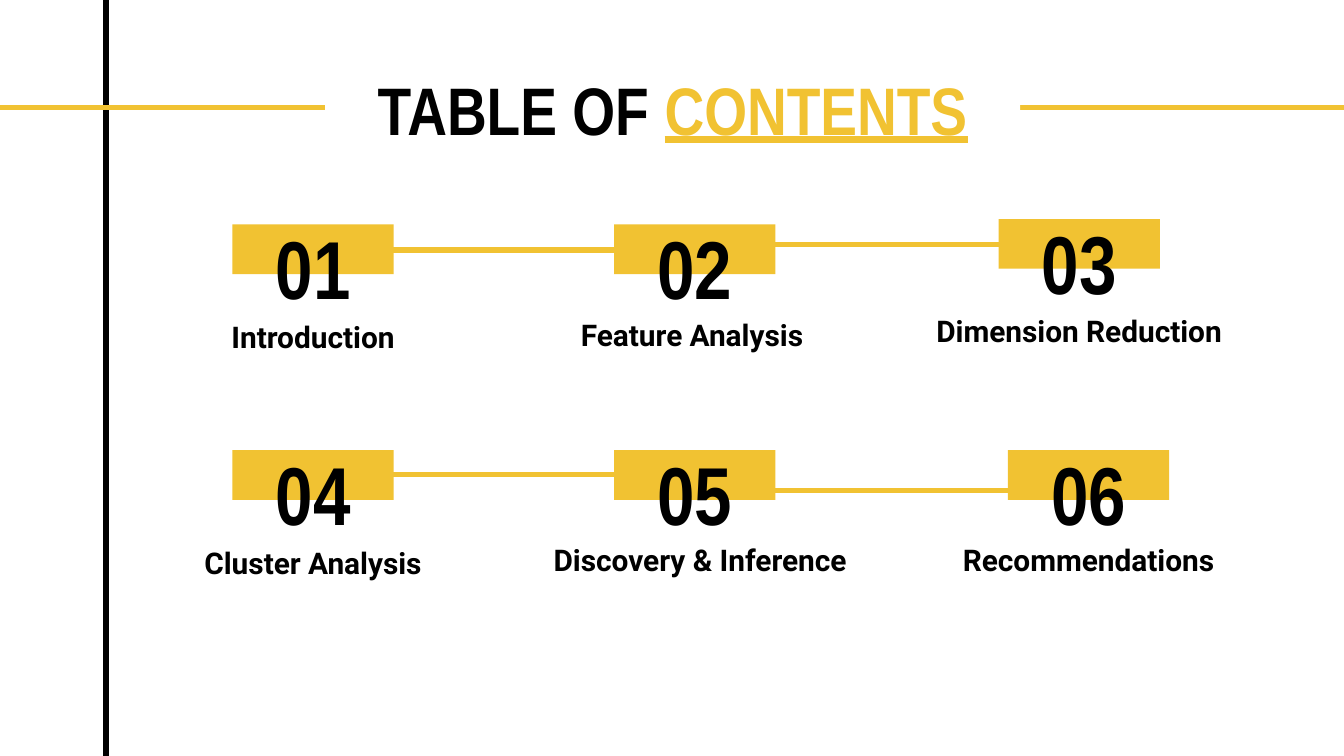
from pptx import Presentation
from pptx.dml.color import RGBColor
from pptx.enum.shapes import MSO_CONNECTOR, MSO_SHAPE
from pptx.enum.text import MSO_ANCHOR, PP_ALIGN
from pptx.oxml.ns import qn
from pptx.util import Inches, Pt

RECTANGLE = MSO_SHAPE.RECTANGLE
STRAIGHT = MSO_CONNECTOR.STRAIGHT
CENTER = PP_ALIGN.CENTER
TOP, BOTTOM = MSO_ANCHOR.TOP, MSO_ANCHOR.BOTTOM

WIDTH = 10
HEIGHT = WIDTH * 9 / 16
BLACK, WHITE, YELLOW = "000000", "FFFFFF", "F1C232"
HEADING_FONT, LABEL_FONT = "Arial Narrow", "Roboto"
TITLE_ONLY_LAYOUT = 5

GRID_LEFT, GRID_TOP = 1.73, 1.67
COLUMN_STEP, ROW_STEP = 2.84, 1.68
CARD_WIDTH, CARD_HEIGHT = 1.2, 0.37
CONNECTOR_LENGTH = 1.77

# number, label, shift of the card from its grid cell, shift of its label
CARDS = [
    ("01", "Introduction", (0, 0), (0, 0.6)),
    ("02", "Feature Analysis", (0, 0), (-0.02, 0.59)),
    ("03", "Dimension Reduction", (0.02, -0.04), (0, 0.6)),
    ("04", "Cluster Analysis", (0, 0), (0, 0.6)),
    ("05", "Discovery & Inference", (0, 0), (0.04, 0.58)),
    ("06", "Recommendations", (0.09, 0), (0, 0.58)),
]
# column, row, start from the card's right edge, drop from the row's top
CONNECTORS = [
    (0, 0, -0.09, 0.19),
    (1, 0, -0.06, 0.15),
    (0, 1, -0.03, 0.18),
    (1, 1, 0, 0.3),
]


def color(value):
    return RGBColor.from_string(value)


def grid_cell(column, row):
    return GRID_LEFT + column * COLUMN_STEP, GRID_TOP + row * ROW_STEP


def add_rectangle(slide, left, top, width, height, fill):
    shape = slide.shapes.add_shape(
        RECTANGLE, Inches(left), Inches(top), Inches(width), Inches(height))
    shape.shadow.inherit = False
    shape.fill.solid()
    shape.fill.fore_color.rgb = color(fill)
    shape.line.fill.background()


def add_line(slide, start_x, start_y, end_x, end_y, stroke):
    line = slide.shapes.add_connector(
        STRAIGHT, Inches(start_x), Inches(start_y), Inches(end_x), Inches(end_y))
    line.line.color.rgb = color(stroke)
    line.line.width = Pt(3)
    properties = line._element.spPr
    properties.append(properties.makeelement(qn("a:effectLst"), {}))


def write_text(shape, runs, *, font, size, anchor=TOP):
    """Fill the shape with one centred line of (text, colour, underline) runs."""
    frame = shape.text_frame
    frame.word_wrap = True
    frame.vertical_anchor = anchor
    frame.margin_left = frame.margin_right = Inches(0.1)
    frame.margin_top = frame.margin_bottom = Inches(0.1)
    paragraph = frame.paragraphs[0]
    paragraph.alignment = CENTER
    paragraph.line_spacing = 1.0
    for text, text_color, underline in runs:
        run = paragraph.add_run()
        run.text = text
        run.font.name = font
        run.font.size = Pt(size)
        run.font.bold = True
        run.font.underline = underline
        run.font.color.rgb = color(text_color)


def add_label(slide, text, left, top, width, height, **text_format):
    box = slide.shapes.add_textbox(
        Inches(left), Inches(top), Inches(width), Inches(height))
    write_text(box, [(text, BLACK, False)], **text_format)


def add_header(slide, left, top, width, height):
    """Cross lines with a white gap that holds the title."""
    add_line(slide, 0.79, 0, 0.79, HEIGHT, BLACK)
    add_line(slide, WIDTH, 0.8, 0, 0.8, YELLOW)
    add_rectangle(slide, left, top, width, height, WHITE)
    title = slide.shapes.title
    title.left, title.top = Inches(left + 0.28), Inches(top + 0.32)
    title.width, title.height = Inches(width - 0.56), Inches(0.74)
    write_text(title, [("TABLE OF ", BLACK, False), ("CONTENTS", YELLOW, True)],
               font=HEADING_FONT, size=36)
    slide.shapes._spTree.append(title._element)  # bring in front of the gap


def add_card(slide, left, top, number, label, label_shift):
    center = left + CARD_WIDTH / 2
    right, down = label_shift
    add_rectangle(slide, left, top, CARD_WIDTH, CARD_HEIGHT, YELLOW)
    add_label(slide, label, center - 1.42 + right, top + down, 2.84, 0.33,
              font=LABEL_FONT, size=16)
    add_label(slide, number, center - 0.85, top + 0.2, 1.7, 0.58,
              font=HEADING_FONT, size=44, anchor=BOTTOM)


def add_contents(slide):
    for index, (number, label, (right, down), label_shift) in enumerate(CARDS):
        row, column = divmod(index, 3)
        left, top = grid_cell(column, row)
        add_card(slide, left + right, top + down, number, label, label_shift)
    for column, row, offset, drop in CONNECTORS:
        left, top = grid_cell(column, row)
        start, level = left + CARD_WIDTH + offset, top + drop
        add_line(slide, start, level, start + CONNECTOR_LENGTH, level, YELLOW)


def main():
    presentation = Presentation()
    presentation.slide_width = Inches(WIDTH)
    presentation.slide_height = Inches(HEIGHT)
    slide = presentation.slides.add_slide(
        presentation.slide_layouts[TITLE_ONLY_LAYOUT])
    add_header(slide, 2.42, 0.09, 5.17, 1.13)
    add_contents(slide)
    presentation.save("out.pptx")


if __name__ == "__main__":
    main()
